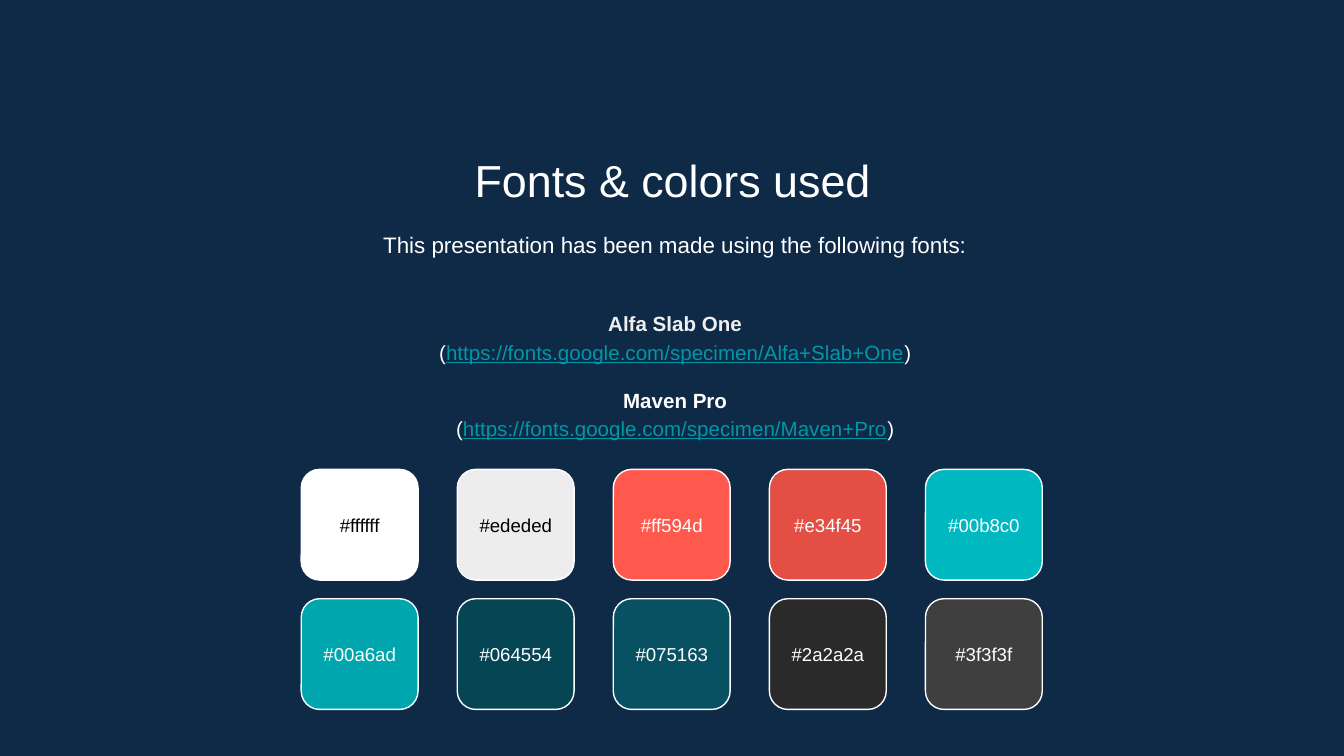
from pptx import Presentation
from pptx.dml.color import RGBColor
from pptx.enum.shapes import MSO_SHAPE
from pptx.enum.text import MSO_ANCHOR, PP_ALIGN
from pptx.util import Pt

NAVY = RGBColor(0x0E, 0x2A, 0x47)
WHITE = RGBColor(0xFF, 0xFF, 0xFF)
BLACK = RGBColor(0x00, 0x00, 0x00)
PALE = RGBColor(0xEF, 0xEF, 0xEF)
TEAL = RGBColor(0x00, 0x97, 0xA7)
FACE = "Arial"

FONTS = [
    ("Alfa Slab One", "https://fonts.google.com/specimen/Alfa+Slab+One", PALE),
    ("Maven Pro", "https://fonts.google.com/specimen/Maven+Pro", WHITE),
]
CODES = [
    ["#ffffff", "#ededed", "#ff594d", "#e34f45", "#00b8c0"],
    ["#00a6ad", "#064554", "#075163", "#2a2a2a", "#3f3f3f"],
]
DARK = {"#ffffff", "#ededed"}  # swatches with dark labels


def style(run, size, color, bold=False, line=False):
    font = run.font
    font.name, font.size, font.bold = FACE, Pt(size), bold
    font.underline = line
    font.color.rgb = color


def setup(frame, anchor):
    frame.word_wrap = True
    frame.vertical_anchor = anchor
    frame.margin_left = frame.margin_right = Pt(7.2)
    frame.margin_top = frame.margin_bottom = Pt(7.2)


def add_box(slide, box, anchor=MSO_ANCHOR.TOP):
    frame = slide.shapes.add_textbox(*map(Pt, box)).text_frame
    setup(frame, anchor)
    return frame


def add_line(slide, box, text, size, space=1.0):
    frame = add_box(slide, box)
    frame.text = text
    para = frame.paragraphs[0]
    para.alignment = PP_ALIGN.CENTER
    para.line_spacing = space
    style(para.runs[0], size, WHITE)


def add_fonts(slide, box):
    frame = add_box(slide, box, MSO_ANCHOR.MIDDLE)
    for num, (name, link, color) in enumerate(FONTS):
        head = frame.add_paragraph() if num else frame.paragraphs[0]
        head.text = name
        style(head.runs[0], 11, color, bold=True)
        if num:
            head.space_before = Pt(10.6)
        # Address in brackets
        addr = frame.add_paragraph()
        for text, tint in (("(", WHITE), (link, TEAL), (")", WHITE)):
            run = addr.add_run()
            run.text = text
            style(run, 11, tint, line=text == link)
    for para in frame.paragraphs:
        para.alignment = PP_ALIGN.CENTER
        para.line_spacing = 1.15


def add_swatch(slide, box, code):
    tile = slide.shapes.add_shape(MSO_SHAPE.ROUNDED_RECTANGLE, *map(Pt, box))
    tile.shadow.inherit = False
    tile.fill.solid()
    tile.fill.fore_color.rgb = RGBColor.from_string(code[1:].upper())
    tile.line.color.rgb = WHITE
    tile.line.width = Pt(0.75)
    frame = tile.text_frame
    setup(frame, MSO_ANCHOR.MIDDLE)
    frame.text = code
    para = frame.paragraphs[0]
    para.alignment = PP_ALIGN.CENTER
    style(para.runs[0], 10, BLACK if code in DARK else WHITE)


def add_grid(slide, box, wide=62.6, high=59.3):
    left, top, width, height = box
    across = (width - wide) / (len(CODES[0]) - 1)
    down = (height - high) / (len(CODES) - 1)
    for row, codes in enumerate(CODES):
        for col, code in enumerate(codes):
            place = (left + col * across, top + row * down, wide, high)
            add_swatch(slide, place, code)


def main():
    deck = Presentation()
    deck.slide_width, deck.slide_height = Pt(720), Pt(405)
    slide = deck.slides.add_slide(deck.slide_layouts[6])
    slide.background.fill.solid()
    slide.background.fill.fore_color.rgb = NAVY

    # Title and intro
    add_line(slide, (82.8, 74.9, 555, 38.2), "Fonts & colors used", 24)
    add_line(slide, (84.2, 114.5, 555, 34.6),
             "This presentation has been made using the following fonts:",
             12, 1.15)
    # Font list
    add_fonts(slide, (84.2, 151.2, 555, 98.6))
    # Palette
    add_grid(slide, (161.4, 251.5, 397, 128.6))
    deck.save("out.pptx")


if __name__ == "__main__":
    main()
